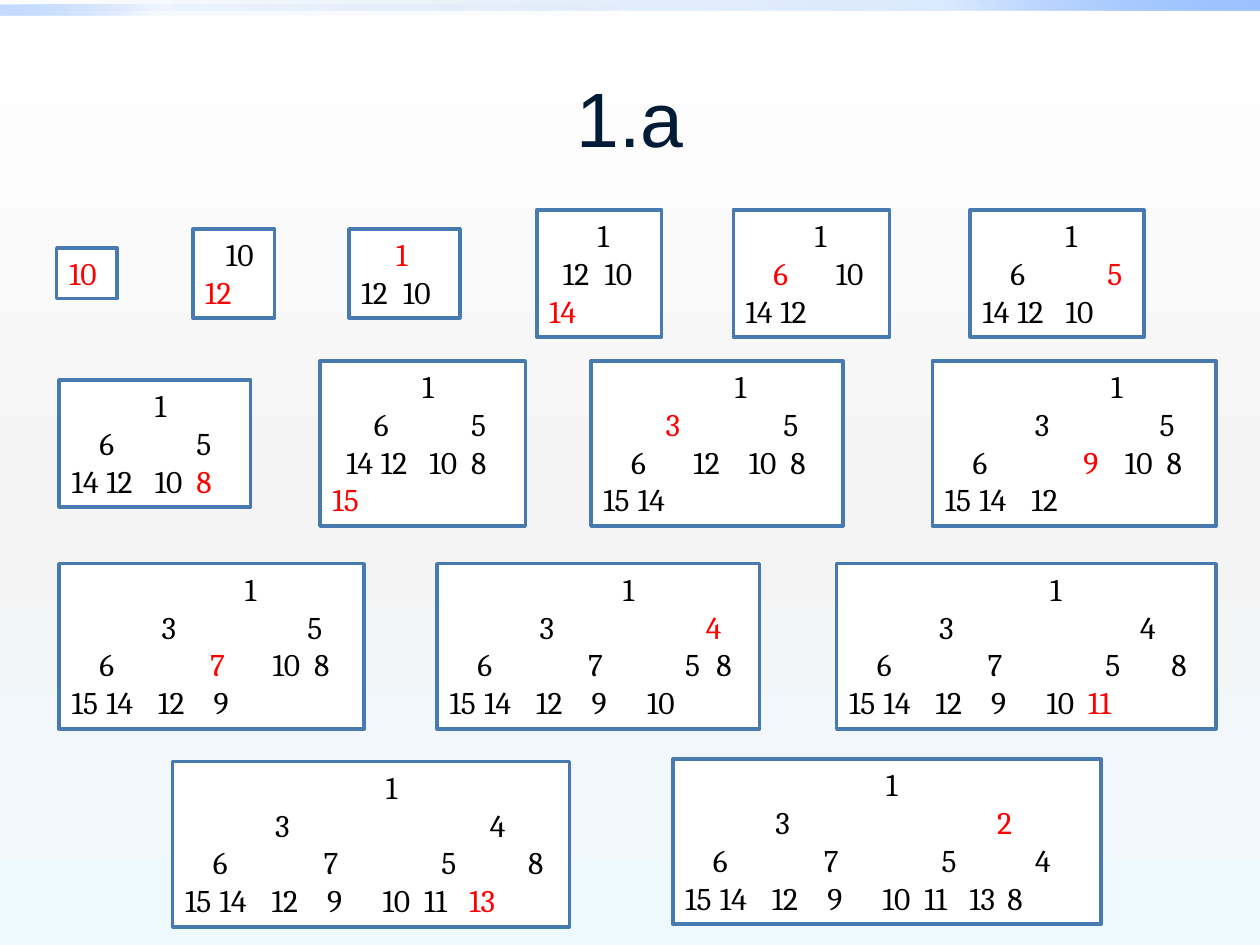
from pptx import Presentation
from pptx.dml.color import RGBColor
from pptx.enum.shapes import MSO_SHAPE
from pptx.enum.text import MSO_ANCHOR, PP_ALIGN
from pptx.oxml.ns import qn
from pptx.util import Inches, Pt
from lxml.etree import SubElement

COLORS = {"box": "FFFFFF", "border": "477AB1", "key": "000000",
          "new": "FF0000", "title": "001B36"}

# Gradient stops: position %, colour, opacity %
BACKGROUND = [(0, "FFFFFF", 100), (55, "F4F4F4", 100), (100, "EEF9FF", 100)]
# Top bars: left, top, width, height, angle, stops
BARS = [
    (0, 0, 10, 0.08, 315, [(0, "0058B7", 0), (75, "4F95FF", 20), (100, "9EC2FF", 100)]),
    (0, 0.04, 5, 0.08, 135, [(0, "0058B7", 0), (75, "4F95FF", 5), (100, "9EC2FF", 60)]),
]

# Heaps: left, middle, width, newly placed key, levels as "column:key"
TOP, UPPER, LOWER, BOTTOM = 2.17, 3.52, 5.13, 6.7
HEAPS = [
    (0.45, TOP, 0.48, "10", ["0:10"]),
    (1.53, TOP, 0.65, "12", ["3:10", "0:12"]),
    (2.77, TOP, 0.88, "1", ["5:1", "0:12 6:10"]),
    (4.26, TOP, 0.99, "14", ["7:1", "2:12 8:10", "0:14"]),
    (5.82, TOP, 1.24, "6", ["10:1", "4:6 13:10", "0:14 5:12"]),
    (7.7, TOP, 1.38, "5", ["12:1", "4:6 18:5", "0:14 5:12 12:10"]),
    (0.47, UPPER, 1.52, "8", ["12:1", "4:6 18:5", "0:14 5:12 12:10 18:8"]),
    (2.54, UPPER, 1.63, "15", ["13:1", "6:6 20:5", "2:14 7:12 14:10 20:8", "0:15"]),
    (4.69, UPPER, 2, "3", ["19:1", "9:3 26:5", "4:6 13:12 21:10 27:8", "0:15 5:14"]),
    (7.4, UPPER, 2.25, "9", ["24:1", "13:3 31:5", "4:6 20:9 26:10 32:8",
                             "0:15 5:14 12.5:12"]),
    (0.47, LOWER, 2.42, "7", ["25:1", "13:3 34:5", "4:6 20:7 29:10 35:8",
                              "0:15 5:14 12.5:12 20.5:9"]),
    (3.47, LOWER, 2.56, "4", ["25:1", "13:3 37:4", "4:6 20:7 34:5 38.5:8",
                              "0:15 5:14 12.5:12 20.5:9 28.5:10"]),
    (6.64, LOWER, 3.01, "11", ["29:1", "13:3 42:4", "4:6 20:7 37:5 46.5:8",
                               "0:15 5:14 12.5:12 20.5:9 28.5:10 34.5:11"]),
    (1.37, BOTTOM, 3.15, "13", ["29:1", "13:3 44:4", "4:6 20:7 37:5 49.5:8",
                                "0:15 5:14 12.5:12 20.5:9 28.5:10 34.5:11 41:13"]),
    (5.34, BOTTOM - 0.02, 3.4, "2", ["29:1", "13:3 45:2", "4:6 20:7 37:5 50.5:4",
                                     "0:15 5:14 12.5:12 20.5:9 28.5:10 34.5:11 41:13 46.5:8"]),
]
COLUMN = 0.055   # width of one text column
LEVEL = 0.303    # height of one heap level
PAD = 0.1        # both vertical insets together


def rgb(name):
    return RGBColor.from_string(COLORS[name])


def set_gradient(fill, root, stops, angle):
    fill.gradient()
    grad = next(root.iter(qn("a:gradFill")))
    grad.clear()
    gs_list = SubElement(grad, qn("a:gsLst"))
    for pos, color, opacity in stops:
        gs = SubElement(gs_list, qn("a:gs"), pos=str(pos * 1000))
        clr = SubElement(gs, qn("a:srgbClr"), val=color)
        if opacity < 100:
            SubElement(clr, qn("a:alpha"), val=str(opacity * 1000))
    SubElement(grad, qn("a:lin"), ang=str(angle * 60000), scaled="0")


def add_rect(s, *box):
    sp = s.shapes.add_shape(MSO_SHAPE.RECTANGLE, *map(Inches, box))
    sp.shadow.inherit = False
    return sp


def add_run(p, text, size, font, color):
    r = p.add_run()
    r.text = text
    r.font.size, r.font.name = Pt(size), font
    r.font.color.rgb = rgb(color)


def add_level(p, level, new):
    """Write one level, each key at its own tab stop."""
    p.alignment = PP_ALIGN.LEFT
    tabs = SubElement(p._p.get_or_add_pPr(), qn("a:tabLst"))
    for item in level.split():
        column, key = item.split(":")
        pos = float(column) * COLUMN
        if pos:
            SubElement(tabs, qn("a:tab"), pos=str(Inches(pos)), algn="l")
        add_run(p, ("\t" if pos else "") + key, 18, "Cambria",
                "new" if key == new else "key")


def add_heap(s, left, middle, width, new, levels):
    height = PAD + LEVEL * len(levels)
    sp = add_rect(s, left, middle - height / 2, width, height)
    sp.fill.solid()
    sp.fill.fore_color.rgb = rgb("box")
    sp.line.color.rgb = rgb("border")
    sp.line.width = Pt(2)
    tf = sp.text_frame
    tf.word_wrap = True
    tf.margin_right = 0
    tf.vertical_anchor = MSO_ANCHOR.TOP
    for i, level in enumerate(levels):
        add_level(tf.add_paragraph() if i else tf.paragraphs[0], level, new)


def main():
    prs = Presentation()
    prs.slide_width, prs.slide_height = Inches(10), Inches(7.5)
    s = prs.slides.add_slide(prs.slide_layouts[6])

    # Background and top bars
    set_gradient(s.background.fill, s._element, BACKGROUND, 90)
    for *box, angle, stops in BARS:
        bar = add_rect(s, *box)
        bar.line.fill.background()
        set_gradient(bar.fill, bar._element, stops, angle)

    # Heaps
    for heap in HEAPS:
        add_heap(s, *heap)

    # Title
    tf = s.shapes.add_textbox(*map(Inches, (0.5, 0.3, 9, 1.25))).text_frame
    tf.word_wrap = True
    tf.vertical_anchor = MSO_ANCHOR.MIDDLE
    p = tf.paragraphs[0]
    p.alignment = PP_ALIGN.CENTER
    add_run(p, "1.a", 44, "Arial", "title")

    prs.save("out.pptx")


if __name__ == "__main__":
    main()
